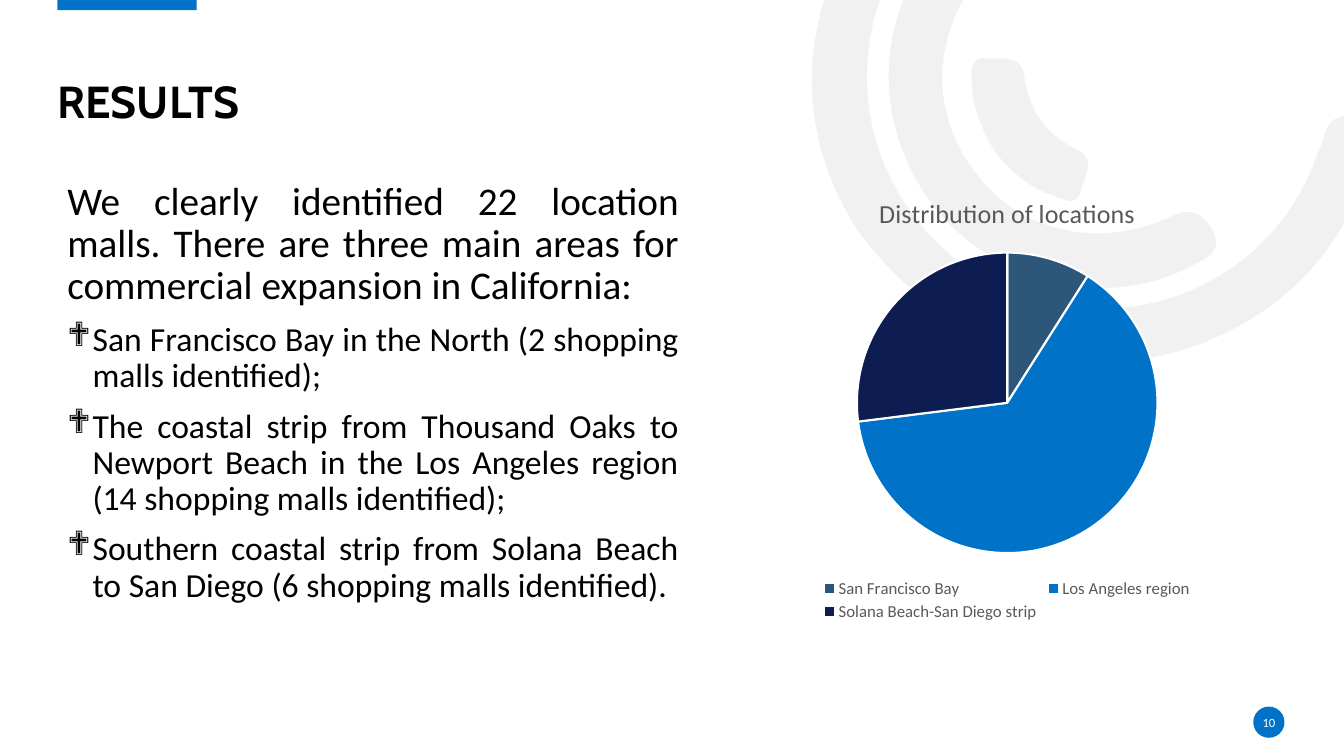
from collections import namedtuple

from lxml import etree
from pptx import Presentation
from pptx.chart.data import CategoryChartData
from pptx.dml.color import RGBColor
from pptx.enum.chart import XL_CHART_TYPE, XL_LEGEND_POSITION
from pptx.enum.shapes import MSO_SHAPE
from pptx.enum.text import MSO_ANCHOR, PP_ALIGN
from pptx.oxml.ns import qn
from pptx.util import Inches, Pt

BLUE = RGBColor(0x00, 0x72, 0xC7)
STEEL = RGBColor(0x2C, 0x56, 0x7A)
NAVY = RGBColor(0x0D, 0x1D, 0x51)
BLACK = RGBColor(0, 0, 0)
WHITE = RGBColor(255, 255, 255)
GREY = RGBColor(0x59, 0x59, 0x59)
PALE = RGBColor(0xE7, 0xE6, 0xE6)

SLIDE_WIDTH, SLIDE_HEIGHT = 13.33, 7.5

Box = namedtuple("Box", "left top width height")

ARCS = [
    ((8.51, 2.29), [
        (7.99, 1.49, 7.87, 0.5, 8.38, -0.5), (8.9, -1.52, 9.76, -2.03, 10.9, -2.07),
        (11.05, -2.07, 11.21, -2.1, 11.31, -1.95), (11.44, -1.75, 11.27, -1.54, 10.98, -1.54),
        (9.67, -1.54, 8.65, -0.59, 8.6, 0.68), (8.56, 1.81, 9.36, 2.81, 10.46, 3.02),
        (11.6, 3.24, 12.7, 2.61, 13.07, 1.52), (13.09, 1.48, 13.11, 1.44, 13.12, 1.4),
        (13.16, 1.19, 13.27, 1.11, 13.49, 1.17), (13.73, 1.24, 13.67, 1.41, 13.61, 1.56),
        (13.34, 2.45, 12.78, 3.07, 11.91, 3.41), (10.7, 3.87, 9.36, 3.45, 8.51, 2.29)]),
    ((9.22, 1.99), [
        (8.62, 1.15, 8.69, 0.07, 9.4, -0.68), (9.51, -0.79, 9.62, -0.95, 9.8, -0.78),
        (9.95, -0.64, 9.97, -0.5, 9.79, -0.32), (9.25, 0.26, 9.2, 1.08, 9.65, 1.68),
        (10.08, 2.29, 10.88, 2.49, 11.61, 2.15), (11.82, 2.05, 11.93, 2.12, 12.03, 2.29),
        (12.13, 2.5, 11.97, 2.56, 11.83, 2.63), (10.96, 3.1, 9.83, 2.82, 9.22, 1.99)]),
    ((9.87, 1.51), [
        (9.75, 1.3, 9.64, 1.07, 9.64, 0.82), (9.64, 0.73, 9.61, 0.57, 9.76, 0.58),
        (9.92, 0.59, 10.13, 0.53, 10.16, 0.76), (10.21, 1.1, 10.36, 1.32, 10.67, 1.48),
        (10.88, 1.57, 10.76, 1.76, 10.72, 1.89), (10.68, 2.06, 10.55, 1.98, 10.45, 1.94),
        (10.21, 1.87, 10.03, 1.7, 9.87, 1.51)]),
]

INTRODUCTION = ("We clearly identified 22 location malls. There are three main areas "
                "for commercial expansion in California:")
AREAS = [
    "San Francisco Bay in the North (2 shopping malls identified);",
    "The coastal strip from Thousand Oaks to Newport Beach in the Los Angeles region "
    "(14 shopping malls identified);",
    "Southern coastal strip from Solana Beach to San Diego (6 shopping malls identified).",
]
LOCATIONS = [("San Francisco Bay", 9, STEEL), ("Los Angeles region", 64, BLUE),
             ("Solana Beach-San Diego strip", 27, NAVY)]


def emu(box):
    return [Inches(length) for length in box]


def style_font(font, size, color, name="Calibri", bold=False):
    font.name, font.size, font.bold = name, Pt(size), bold
    font.color.rgb = color


def paint(shape, color):
    shape.shadow.inherit = False
    shape.fill.solid()
    shape.fill.fore_color.rgb = color
    shape.line.fill.background()


def add_text_frame(slide, box, anchor, inset):
    frame = slide.shapes.add_textbox(*emu(box)).text_frame
    frame.word_wrap = True
    frame.vertical_anchor = anchor
    frame.margin_left = frame.margin_right = Inches(inset)
    frame.margin_top = frame.margin_bottom = Inches(inset / 2)
    return frame


def add_run(paragraph, text, size, color, **style):
    run = paragraph.add_run()
    run.text = text
    style_font(run.font, size, color, **style)


def bend_lines(shape):
    outline = next(shape._element.iter(qn("a:path")))
    lines = outline.findall(qn("a:lnTo"))
    for first, second, third in zip(lines[::3], lines[1::3], lines[2::3]):
        curve = etree.Element(qn("a:cubicBezTo"))
        first.addprevious(curve)
        for line in (first, second, third):
            curve.append(line[0])
            outline.remove(line)


def add_background_arcs(slide):
    for start, curves in ARCS:
        builder = slide.shapes.build_freeform(Inches(start[0]), Inches(start[1]))
        builder.add_line_segments(
            [(Inches(x), Inches(y)) for curve in curves
             for x, y in zip(curve[::2], curve[1::2])], close=True)
        arc = builder.convert_to_shape()
        bend_lines(arc)
        paint(arc, PALE)
        color = arc.fill._xPr.find(qn("a:solidFill"))[0]
        etree.SubElement(color, qn("a:alpha"), val="53000")


def add_heading(slide, box):
    bar = slide.shapes.add_shape(MSO_SHAPE.RECTANGLE, *emu(Box(box.left, -0.02, 1.38, 0.12)))
    paint(bar, BLUE)
    paragraph = add_text_frame(slide, box, MSO_ANCHOR.BOTTOM, 0).paragraphs[0]
    paragraph.line_spacing = 0.9
    add_run(paragraph, "RESULTS", 32, BLACK, name="Cabin", bold=True)


def add_page_number(slide, box):
    paint(slide.shapes.add_shape(MSO_SHAPE.OVAL, *emu(box)), BLUE)
    paragraph = add_text_frame(slide, box, MSO_ANCHOR.MIDDLE, 0).paragraphs[0]
    paragraph.alignment = PP_ALIGN.CENTER
    add_run(paragraph, "10", 9, WHITE)


def add_findings(slide, box):
    frame = add_text_frame(slide, box, MSO_ANCHOR.TOP, 0.1)
    for index, text in enumerate([INTRODUCTION] + AREAS):
        paragraph = frame.add_paragraph() if index else frame.paragraphs[0]
        paragraph.alignment = PP_ALIGN.JUSTIFY
        paragraph.line_spacing = 0.9
        paragraph.space_before = Pt(10)
        add_run(paragraph, text, 24 if index else 28, BLACK)
        if index:
            properties = paragraph._p.get_or_add_pPr()
            properties.set("marL", str(Inches(0.25)))
            properties.set("indent", str(-Inches(0.25)))
            etree.SubElement(properties, qn("a:buFont"), typeface="Wingdings", charset="2")
            etree.SubElement(properties, qn("a:buChar"), char="❖")


def set_layout(element, index, box, inner=False):
    for previous in element.findall(qn("c:layout")):
        element.remove(previous)
    layout = etree.Element(qn("c:layout"))
    manual = etree.SubElement(layout, qn("c:manualLayout"))
    settings = [("layoutTarget", "inner")] if inner else []
    settings += [("xMode", "edge"), ("yMode", "edge")]
    settings += zip("xywh", box)
    for name, value in settings:
        etree.SubElement(manual, qn("c:" + name), val=str(value))
    element.insert(index, layout)


def add_location_chart(slide, box):
    data = CategoryChartData(number_format="0")
    data.categories = [name for name, share, color in LOCATIONS]
    data.add_series("Distribution of locations", [share for name, share, color in LOCATIONS])
    chart = slide.shapes.add_chart(XL_CHART_TYPE.PIE, *emu(box), data).chart
    style_font(chart.font, 10, BLACK)

    chart.has_title = True
    title = chart.chart_title.text_frame.paragraphs[0]
    add_run(title, "Distribution of locations", 18.6, GREY)

    chart.has_legend = True
    chart.legend.position = XL_LEGEND_POSITION.BOTTOM
    chart.legend.include_in_layout = False
    style_font(chart.legend.font, 12, GREY)
    set_layout(chart.legend._element, 1, Box(0.22, 0.89, 0.56, 0.11))

    plot = chart.plots[0]
    plot.vary_by_categories = True
    set_layout(plot._element.getparent(), 0, Box(0.25, 0.17, 0.5, 0.67), inner=True)
    for index, (name, share, color) in enumerate(LOCATIONS):
        slice_format = plot.series[0].points[index].format
        slice_format.fill.solid()
        slice_format.fill.fore_color.rgb = color
        slice_format.line.color.rgb = WHITE
        slice_format.line.width = Pt(1.5)


def add_results_slide(presentation):
    slide = presentation.slides.add_slide(presentation.slide_layouts[6])
    margin = 0.57
    content_top = 1.75
    chart_left = 6.65
    add_background_arcs(slide)
    add_heading(slide, Box(margin, 0.26, SLIDE_WIDTH - 2 * margin, 1.01))
    add_page_number(slide, Box(12.43, 7.01, 0.31, 0.31))
    add_location_chart(slide, Box(chart_left, content_top, SLIDE_WIDTH - chart_left, 4.45))
    add_findings(slide, Box(margin, content_top, 6.26, 4.39))


def main():
    presentation = Presentation()
    presentation.slide_width = Inches(SLIDE_WIDTH)
    presentation.slide_height = Inches(SLIDE_HEIGHT)
    add_results_slide(presentation)
    presentation.save("out.pptx")


if __name__ == "__main__":
    main()
